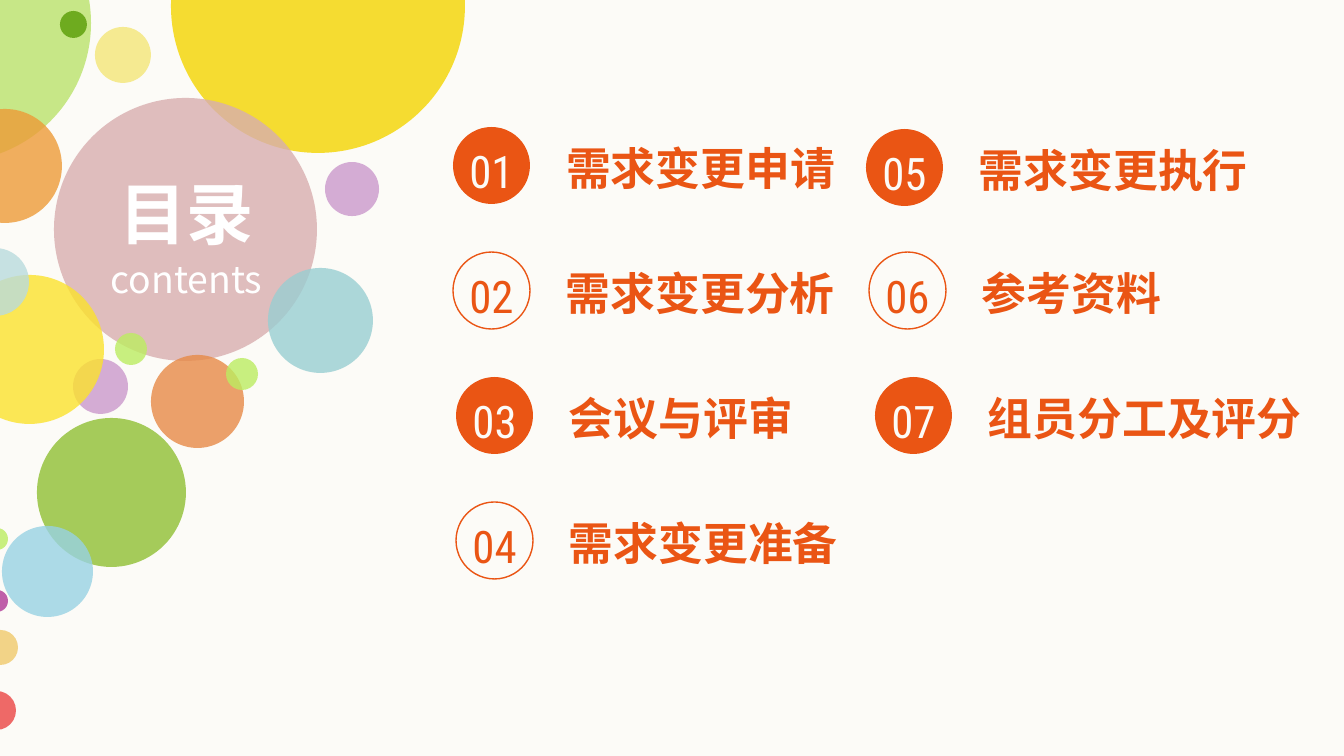
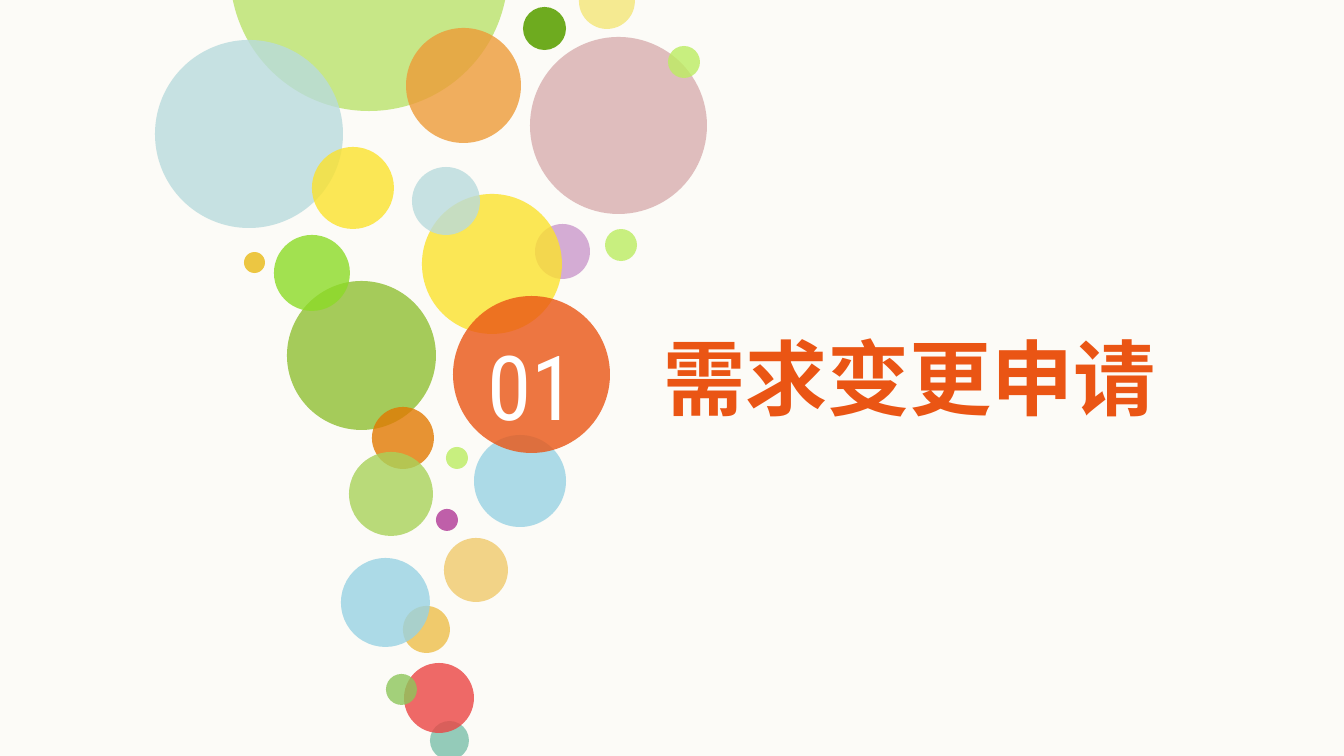
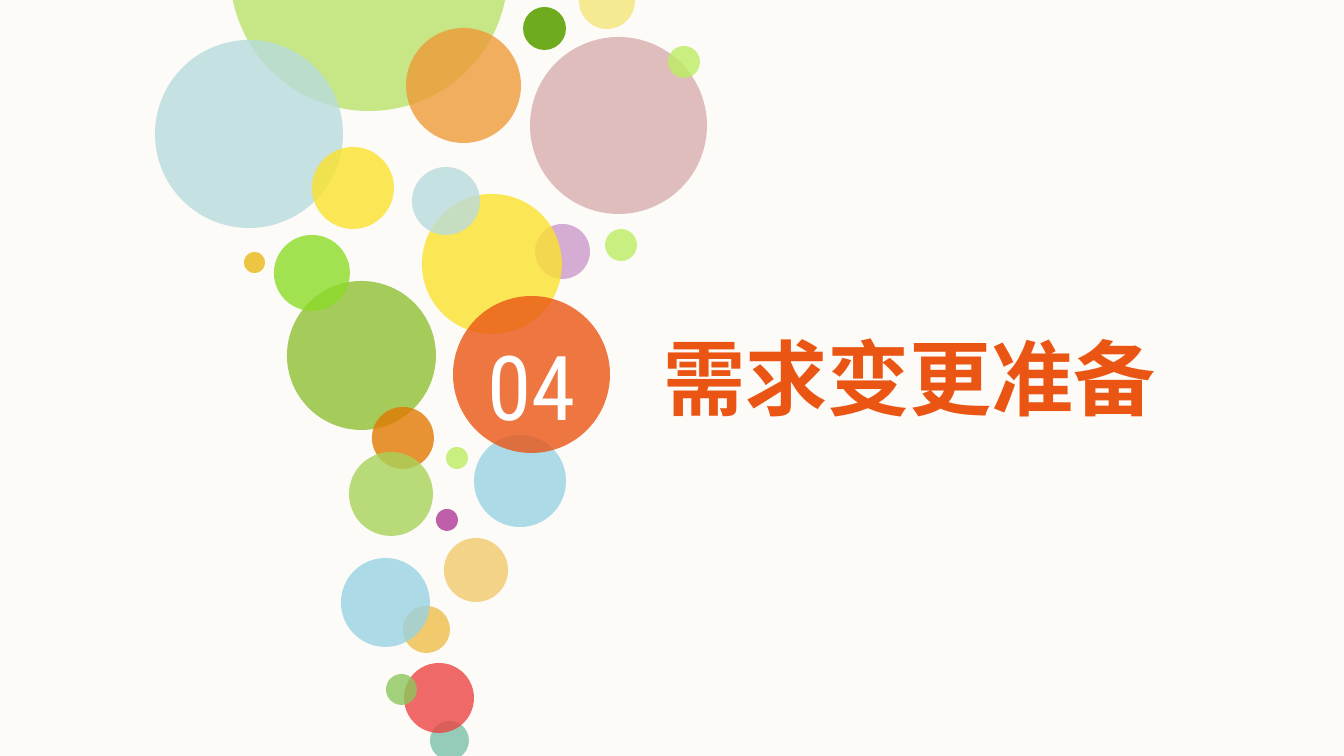
from lxml import etree
from pptx import Presentation
from pptx.dml.color import RGBColor
from pptx.enum.shapes import MSO_SHAPE
from pptx.enum.text import MSO_AUTO_SIZE, PP_ALIGN
from pptx.oxml.ns import qn
from pptx.util import Emu, Pt

ELLIPSE = MSO_SHAPE.OVAL
GROW = MSO_AUTO_SIZE.SHAPE_TO_FIT_TEXT
LEFT, CENTER = PP_ALIGN.LEFT, PP_ALIGN.CENTER

SLIDE_WIDTH, SLIDE_HEIGHT = 1344, 756
EMU_PER_PX = 9144000 / SLIDE_WIDTH
LINE_RATIO = 1.28
SOFT, SOLID = 80, 100

HAN_FONT, NUMBER_FONT = "Noto Sans CJK SC", "Roboto Condensed"

PAPER = RGBColor(0xFC, 0xFB, 0xF7)
WHITE = RGBColor(0xFF, 0xFF, 0xFF)
ORANGE = RGBColor(0xEA, 0x55, 0x14)
LIME = RGBColor(0xBA, 0xE3, 0x6B)
FOREST = RGBColor(0x6E, 0xAB, 0x1F)
AMBER = RGBColor(0xED, 0x9B, 0x38)
CREAM = RGBColor(0xF5, 0xEA, 0x91)
GOLD = RGBColor(0xF4, 0xD5, 0x00)
ROSE = RGBColor(0xD8, 0xAE, 0xAF)
TEAL = RGBColor(0x99, 0xCE, 0xD2)
LILAC = RGBColor(0xCB, 0x99, 0xCC)
COPPER = RGBColor(0xE7, 0x8A, 0x47)
LEAF = RGBColor(0xA5, 0xCB, 0x5A)
SPROUT = RGBColor(0xBC, 0xED, 0x61)
YELLOW = RGBColor(0xFB, 0xE2, 0x2D)
PURPLE = RGBColor(0xB0, 0x38, 0x96)
SAND = RGBColor(0xF0, 0xCA, 0x6C)
RED = RGBColor(0xEB, 0x45, 0x44)
MIST = RGBColor(0xB9, 0xDB, 0xDD)
SKY = RGBColor(0x98, 0xD2, 0xE3)
GRASS = RGBColor(0x8C, 0xDB, 0x27)
MUSTARD = RGBColor(0xE9, 0xB9, 0x15)
JADE = RGBColor(0x7B, 0xBF, 0xAA)
MOSS = RGBColor(0x8D, 0xC6, 0x5B)
TANGERINE = RGBColor(0xE2, 0x79, 0x02)
PEAR = RGBColor(0xA9, 0xD2, 0x5A)

CONTENTS_BUBBLES = [
    (-187, -116, 278, LIME, SOFT),
    (60, 11, 27, FOREST, SOLID),
    (-52, 109, 114, AMBER, SOFT),
    (95, 27, 56, CREAM, SOLID),
    (171, -141, 294, GOLD, SOFT),
    (54, 98, 263, ROSE, SOFT),
    (268, 268, 105, TEAL, SOFT),
    (325, 162, 54, LILAC, SOFT),
    (151, 355, 93, COPPER, SOFT),
    (37, 418, 149, LEAF, SOLID),
    (226, 358, 32, SPROUT, SOFT),
    (115, 333, 32, SPROUT, SOFT),
    (73, 359, 55, LILAC, SOFT),
    (-45, 275, 149, YELLOW, SOFT),
    (-14, 528, 22, SPROUT, SOFT),
    (-14, 590, 22, PURPLE, SOFT),
    (-17, 630, 35, SAND, SOFT),
    (-23, 691, 39, RED, SOFT),
    (-39, 248, 68, MIST, SOFT),
    (2, 526, 91, SKY, SOFT),
]

SECTION_BUBBLES = [
    (230, -167, 278, LIME, SOFT),
    (523, 7, 43, FOREST, SOLID),
    (155, 40, 188, MIST, SOFT),
    (406, 28, 115, AMBER, SOFT),
    (579, -27, 56, CREAM, SOLID),
    (530, 37, 177, ROSE, SOFT),
    (287, 281, 149, LEAF, SOLID),
    (668, 46, 32, SPROUT, SOFT),
    (605, 229, 32, SPROUT, SOFT),
    (535, 224, 55, LILAC, SOFT),
    (422, 194, 140, YELLOW, SOFT),
    (312, 147, 82, YELLOW, SOFT),
    (274, 235, 76, GRASS, SOFT),
    (244, 252, 21, MUSTARD, SOFT),
    (446, 447, 22, SPROUT, SOFT),
    (436, 509, 22, PURPLE, SOFT),
    (444, 538, 64, SAND, SOFT),
    (403, 606, 47, SAND, SOLID),
    (430, 721, 39, JADE, SOFT),
    (404, 663, 70, RED, SOFT),
    (386, 674, 31, MOSS, SOFT),
    (341, 558, 89, SKY, SOFT),
    (412, 167, 68, MIST, SOFT),
    (474, 435, 92, SKY, SOFT),
    (372, 407, 62, TANGERINE, SOFT),
    (349, 452, 84, PEAR, SOFT),
    (453, 296, 157, ORANGE, SOFT),
]

CONTENTS_HEADING = [("目录", 36, True), ("contents", 20, False)]
CHAPTER_COLUMNS = [
    [
        ("需求变更申请", 453, 127, 293),
        ("需求变更分析", 453, 252, 276),
        ("会议与评审", 456, 377, 230),
        ("需求变更准备", 456, 502, 293),
    ],
    [
        ("需求变更执行", 866, 129, 401),
        ("参考资料", 869, 252, 394),
        ("组员分工及评分", 875, 377, 341),
    ],
]
CHAPTERS = [chapter for column in CHAPTER_COLUMNS for chapter in column]
SECTIONS = [(1, 560), (4, 499)]
BADGE = 77
TITLE_INDENT = 113
LABEL_HEIGHT = 54


def px(*lengths):
    return [Emu(round(length * EMU_PER_PX)) for length in lengths]


def add_circle(slide, left, top, size, color, opacity=SOLID, outlined=False):
    circle = slide.shapes.add_shape(ELLIPSE, *px(left, top, size, size))
    circle.shadow.inherit = False
    if outlined:
        circle.fill.background()
        circle.line.color.rgb = color
        circle.line.width = Pt(0.75)
        return
    circle.fill.solid()
    circle.fill.fore_color.rgb = color
    circle.line.fill.background()
    if opacity < SOLID:
        color_element = circle.fill._xPr.find(qn("a:solidFill"))[0]
        etree.SubElement(color_element, qn("a:alpha"), val=str(opacity * 1000))


def add_text(slide, box, lines, font_name, color, alignment=LEFT):
    frame = slide.shapes.add_textbox(*px(*box)).text_frame
    frame_format = {"word_wrap": True, "auto_size": GROW, "margin_left": 0,
                    "margin_right": 0, "margin_top": 0, "margin_bottom": 0}
    for name, value in frame_format.items():
        setattr(frame, name, value)
    for index, (text, size, bold) in enumerate(lines):
        paragraph = frame.add_paragraph() if index else frame.paragraphs[0]
        paragraph.alignment = alignment
        paragraph.line_spacing = Pt(round(size * LINE_RATIO))
        run = paragraph.add_run()
        run.text = text
        for name, value in {"name": font_name, "size": Pt(size), "bold": bold}.items():
            setattr(run.font, name, value)
        run.font.color.rgb = color
        etree.SubElement(run.font._element, qn("a:ea"), typeface=font_name)


def add_bubble_slide(presentation, bubbles):
    slide = presentation.slides.add_slide(presentation.slide_layouts[6])
    slide.background.fill.solid()
    slide.background.fill.fore_color.rgb = PAPER
    for bubble in bubbles:
        add_circle(slide, *bubble)
    return slide


def add_contents(presentation):
    slide = add_bubble_slide(presentation, CONTENTS_BUBBLES)
    add_text(slide, (85, 167, 203, 126), CONTENTS_HEADING, HAN_FONT, WHITE, CENTER)
    for number, (title, left, top, width) in enumerate(CHAPTERS, 1):
        outlined = number % 2 == 0
        add_circle(slide, left, top, BADGE, ORANGE, outlined=outlined)
        add_text(slide, (left, top + 13, BADGE, LABEL_HEIGHT), [(f"{number:02}", 24, False)],
                 NUMBER_FONT, ORANGE if outlined else PAPER, CENTER)
        add_text(slide, (left + TITLE_INDENT, top + 10, width, LABEL_HEIGHT),
                 [(title, 24, True)], HAN_FONT, ORANGE)


def add_section(presentation, number, title_width):
    slide = add_bubble_slide(presentation, SECTION_BUBBLES)
    title = CHAPTERS[number - 1][0]
    add_text(slide, (478, 325, 108, 109), [(f"{number:02}", 48, False)],
             NUMBER_FONT, WHITE, CENTER)
    add_text(slide, (663, 321, title_width, 99), [(title, 44, True)], HAN_FONT, ORANGE)


def main():
    presentation = Presentation()
    presentation.slide_width, presentation.slide_height = px(SLIDE_WIDTH, SLIDE_HEIGHT)
    add_contents(presentation)
    for number, title_width in SECTIONS:
        add_section(presentation, number, title_width)
    presentation.save("out.pptx")


if __name__ == "__main__":
    main()
